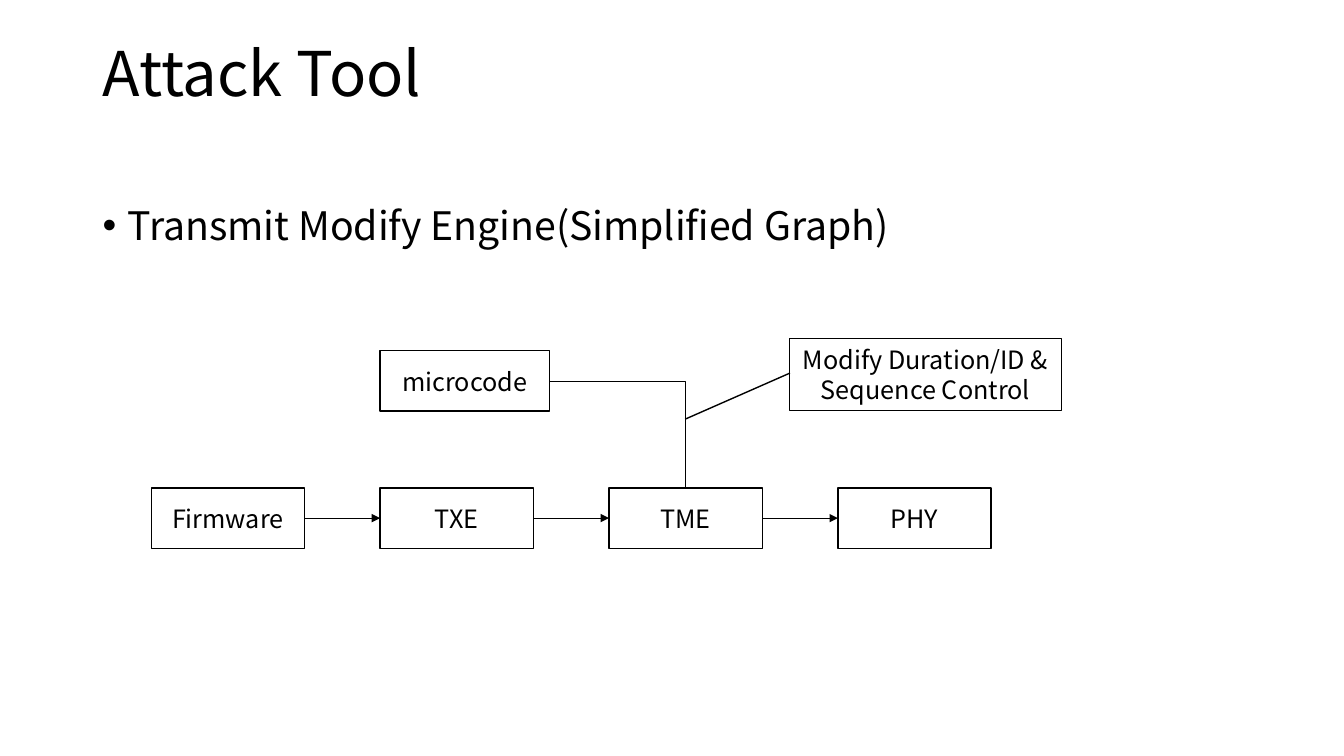
from copy import deepcopy

from lxml import etree
from pptx import Presentation
from pptx.dml.color import RGBColor
from pptx.enum import shapes, text
from pptx.oxml.ns import qn
from pptx.util import Inches, Pt

FONT = "Noto Sans CJK SC"
BLACK, WHITE = "000000", "FFFFFF"
TOP, LEFT, RIGHT = 0, 1, 3  # connection sites of a rectangle

STAGES = ["Firmware", "TXE", "TME", "PHY"]
STAGE_LEFT, STAGE_TOP, STAGE_STEP = 1.5, 4.84, 2.27
STAGE_WIDTH, BOX_HEIGHT = 1.52, 0.6


def color(value):
    return RGBColor.from_string(value)


def add_run(paragraph, words, size):
    run = paragraph.add_run()
    run.text = words
    run.font.name = FONT
    run.font.size = Pt(size)
    run.font.color.rgb = color(BLACK)
    return run


def add_text(slide, words, size, left, top, width, height, anchor):
    box = slide.shapes.add_textbox(Inches(left), Inches(top), Inches(width), Inches(height))
    frame = box.text_frame
    frame.word_wrap = True
    frame.vertical_anchor = anchor
    paragraph = frame.paragraphs[0]
    paragraph.line_spacing = 0.9
    return paragraph, add_run(paragraph, words, size)


def end_with_break(paragraph, run):
    """Close the paragraph with a line break as tall as the run."""
    paragraph.add_line_break()
    properties = run._r.find(qn("a:rPr"))
    paragraph._p[-1].append(deepcopy(properties))
    end = etree.SubElement(paragraph._p, qn("a:endParaRPr"), sz=properties.get("sz"))
    etree.SubElement(end, qn("a:latin"), typeface=FONT)


def add_bullet(paragraph, indent):
    properties = paragraph._p.get_or_add_pPr()
    properties.set("marL", str(Inches(indent)))
    properties.set("indent", str(-Inches(indent)))
    etree.SubElement(properties, qn("a:buFont"), typeface="Arial")
    etree.SubElement(properties, qn("a:buChar"), char="•")


def add_box(slide, words, left, top, width, height=BOX_HEIGHT,
            kind=shapes.MSO_SHAPE.RECTANGLE):
    box = slide.shapes.add_shape(kind, Inches(left), Inches(top), Inches(width), Inches(height))
    box.shadow.inherit = False
    box.fill.solid()
    box.fill.fore_color.rgb = color(WHITE)
    box.line.color.rgb = color(BLACK)
    box.line.width = Pt(1)
    frame = box.text_frame
    frame.word_wrap = True
    frame.vertical_anchor = text.MSO_ANCHOR.MIDDLE
    paragraph = frame.paragraphs[0]
    paragraph.alignment = text.PP_ALIGN.CENTER
    add_run(paragraph, words, 18)
    return box


def add_link(slide, start, start_site, end, end_site, kind=shapes.MSO_CONNECTOR.STRAIGHT):
    link = slide.shapes.add_connector(kind, 0, 0, 0, 0)
    link.begin_connect(start, start_site)
    link.end_connect(end, end_site)
    link.line.color.rgb = color(BLACK)
    link.line.width = Pt(0.5)
    etree.SubElement(link._element.spPr, qn("a:effectLst"))
    return link


def add_arrow(slide, start, end):
    link = add_link(slide, start, RIGHT, end, LEFT)
    etree.SubElement(link.line._get_or_add_ln(), qn("a:tailEnd"), type="triangle")


def add_corner(slide, start, end):
    """Link that runs right, then down, with a single bend."""
    link = add_link(slide, start, RIGHT, end, TOP, shapes.MSO_CONNECTOR.ELBOW)
    link._element.spPr.find(qn("a:prstGeom")).set("prst", "bentConnector2")


def main():
    presentation = Presentation()
    presentation.slide_width, presentation.slide_height = Inches(13.33), Inches(7.5)
    slide = presentation.slides.add_slide(presentation.slide_layouts[6])

    # Title and bullet
    title, title_run = add_text(slide, "Attack Tool", 44, 0.92, 0.4, 11.5, 1.45,
                                text.MSO_ANCHOR.MIDDLE)
    end_with_break(title, title_run)
    topic, _ = add_text(slide, "Transmit Modify Engine(Simplified Graph)", 28,
                        0.92, 2, 11.5, 4.76, text.MSO_ANCHOR.TOP)
    topic.space_before = Pt(10)
    add_bullet(topic, 0.25)

    # Transmit chain
    stages = [add_box(slide, name, STAGE_LEFT + i * STAGE_STEP, STAGE_TOP, STAGE_WIDTH)
              for i, name in enumerate(STAGES)]
    for start, end in zip(stages, stages[1:]):
        add_arrow(slide, start, end)

    # Microcode feeding the TME
    microcode = add_box(slide, "microcode", STAGE_LEFT + STAGE_STEP, 3.48, 1.68)
    add_corner(slide, microcode, stages[STAGES.index("TME")])

    # Callout on the microcode link
    callout = add_box(slide, "Modify Duration/ID & Sequence Control", 7.83, 3.36, 2.7, 0.71,
                      shapes.MSO_SHAPE.LINE_CALLOUT_1)
    for i, value in enumerate([0.481, 0.002, 1.125, -0.383]):
        callout.adjustments[i] = value

    presentation.save("out.pptx")


if __name__ == "__main__":
    main()
